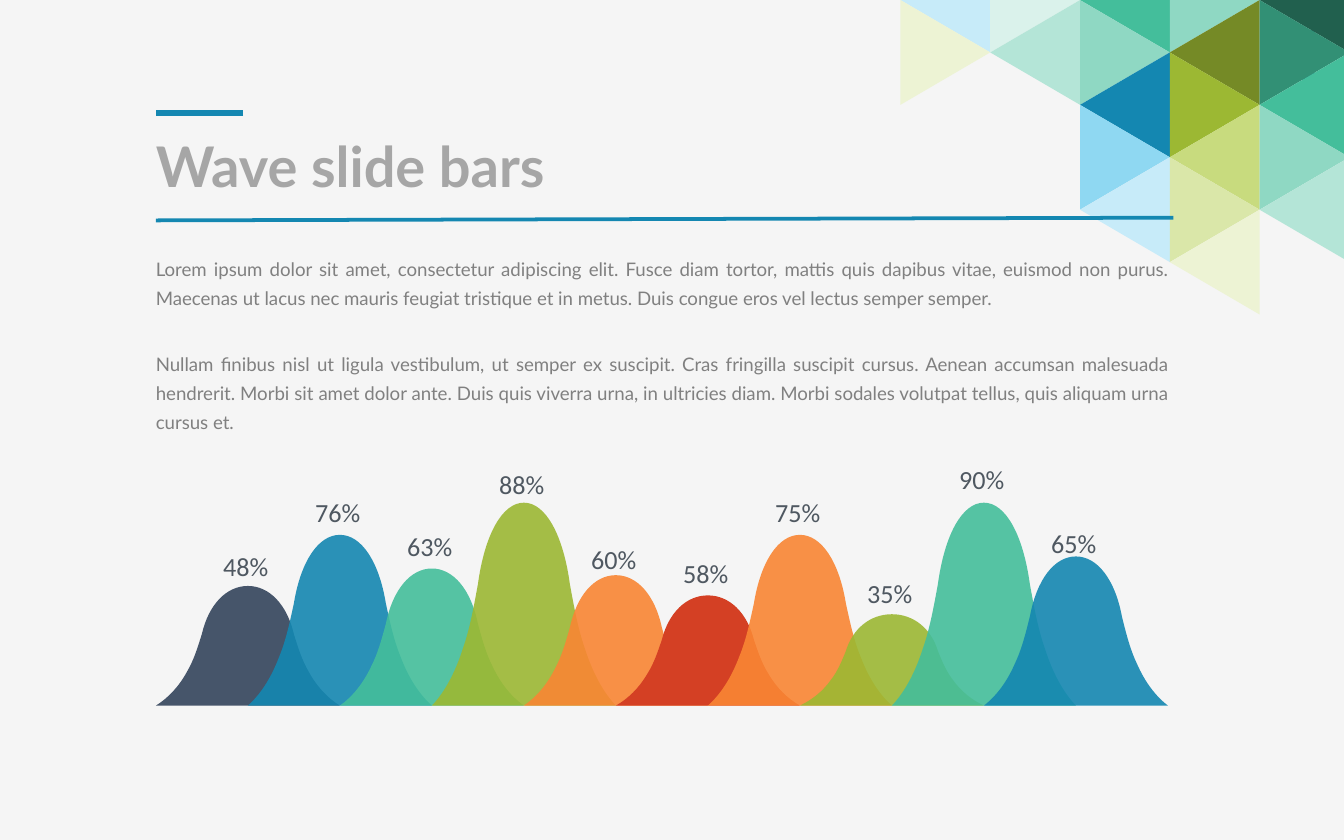
from dataclasses import dataclass

from lxml.etree import SubElement
from pptx import Presentation
from pptx.dml.color import RGBColor
from pptx.enum.shapes import MSO_CONNECTOR, MSO_SHAPE
from pptx.enum.text import MSO_ANCHOR, PP_ALIGN
from pptx.oxml.ns import qn
from pptx.util import Inches, Pt


@dataclass(frozen=True)
class Theme:
    background: str = "F5F5F5"
    blue: str = "1487B1"
    teal: str = "44BE9B"
    olive: str = "9CB833"
    orange: str = "F98634"
    red: str = "D44024"
    slate: str = "46556A"
    title: str = "A6A6A6"
    body: str = "808080"
    label: str = "4F5861"
    text_font: str = "Lato"
    label_font: str = "Calibri"
    title_size: int = 30
    body_size: int = 10
    label_size: int = 14


@dataclass(frozen=True)
class Box:
    left: float
    top: float
    width: float
    height: float

    def lengths(self):
        return [Inches(v) for v in (self.left, self.top, self.width, self.height)]


THEME = Theme()

MOSAIC_COLUMNS = [
    ["C7EBF9", "EDF3D4"],
    ["DAF2EB", "B4E5D7"],
    [THEME.teal, "8FD8C3", THEME.blue, "8FD8F2", "C7EBF9"],
    ["8FD8C3", "758A26", THEME.olive, "C8DB7E", "DAE7A9", "EDF3D4"],
    ["21604E", "329075", THEME.teal, "8FD8C3", "B4E5D7"],
]

PARAGRAPHS = [
    "Lorem ipsum dolor sit amet, consectetur adipiscing elit. Fusce diam tortor, "
    "mattis quis dapibus vitae, euismod non purus. Maecenas ut lacus nec mauris "
    "feugiat tristique et in metus. Duis congue eros vel lectus semper semper.",
    "Nullam finibus nisl ut ligula vestibulum, ut semper ex suscipit. Cras fringilla "
    "suscipit cursus. Aenean accumsan malesuada hendrerit. Morbi sit amet dolor ante. "
    "Duis quis viverra urna, in ultricies diam. Morbi sodales volutpat tellus, quis "
    "aliquam urna cursus et.",
]

WAVES = [
    ("48%", 0.89, 0.28, THEME.slate, 100),
    ("76%", 1.27, 0.30, THEME.blue, 90),
    ("63%", 1.02, 0.30, THEME.teal, 90),
    ("88%", 1.51, 0.27, THEME.olive, 90),
    ("60%", 0.97, 0.25, THEME.orange, 90),
    ("58%", 0.82, 0.30, THEME.red, 100),
    ("75%", 1.27, 0.30, THEME.orange, 90),
    ("35%", 0.68, 0.29, THEME.olive, 90),
    ("90%", 1.51, 0.31, THEME.teal, 90),
    ("65%", 1.11, 0.23, THEME.blue, 90),
]

PROFILE_WIDTH, PROFILE_HEIGHT = 1.36, 1.27
RISING_PROFILE = [
    (0, 0), (0.09, 0.08), (0.17, 0.2), (0.23, 0.36), (0.28, 0.48),
    (0.31, 0.62), (0.34, 0.76), (0.39, 1.07), (0.52, 1.27), (0.68, 1.27),
]


def color(code):
    return RGBColor.from_string(code)


def paint(shape, code, opacity=100):
    shape.shadow.inherit = False
    shape.fill.solid()
    shape.fill.fore_color.rgb = color(code)
    shape.line.fill.background()
    if opacity < 100:
        tint = shape.fill._xPr.find(qn("a:solidFill"))[0]
        SubElement(tint, qn("a:alpha"), val=str(opacity * 1000))


def style(paragraph, font, size, code, bold=False):
    for run in paragraph.runs:
        run.font.name = font
        run.font.size = Pt(size)
        run.font.bold = bold
        run.font.color.rgb = color(code)


def fill_text(shape, paragraphs, inset=(0, 0), anchor=MSO_ANCHOR.TOP):
    frame = shape.text_frame
    frame.word_wrap = True
    frame.vertical_anchor = anchor
    frame.margin_left = frame.margin_right = Inches(inset[0])
    frame.margin_top = frame.margin_bottom = Inches(inset[1])
    frame.text = "\n".join(paragraphs)
    return frame.paragraphs


def add_outline(slide, points):
    start, *rest = [(Inches(x), Inches(y)) for x, y in points]
    builder = slide.shapes.build_freeform(*start, scale=1.0)
    builder.add_line_segments(rest, close=True)
    return builder.convert_to_shape()


def round_outline(shape):
    outline = shape._element.spPr.find(".//" + qn("a:path"))
    lines = outline.findall(qn("a:lnTo"))
    for first in range(0, len(lines), 3):
        curve = SubElement(outline, qn("a:cubicBezTo"))
        for line in lines[first:first + 3]:
            curve.append(line[0])
            outline.remove(line)
    outline.append(outline.find(qn("a:close")))


def add_rule(slide, start, end, weight):
    rule = slide.shapes.add_connector(
        MSO_CONNECTOR.STRAIGHT, *[Inches(v) for v in (*start, *end)])
    rule.line.color.rgb = color(THEME.blue)
    rule.line.width = Pt(weight)
    SubElement(rule._element.spPr, qn("a:effectLst"))


def add_triangle(slide, box, rotation, code):
    triangle = slide.shapes.add_shape(MSO_SHAPE.ISOSCELES_TRIANGLE, *box.lengths())
    triangle.rotation = rotation
    paint(triangle, code)


def add_mosaic(slide, box):
    pitch = box.width / len(MOSAIC_COLUMNS)
    side = box.height / 3.5
    add_triangle(slide, Box(box.left + 2.67, box.top + 0.63, 0.44, 0.38), 270, "0F6585")
    for column, codes in enumerate(MOSAIC_COLUMNS):
        for row, code in enumerate(codes):
            cell = Box(box.left + column * pitch - (side - pitch) / 2,
                       box.top + row * side / 2 + (side - pitch) / 2, side, pitch)
            add_triangle(slide, cell, 90 if (column + row) % 2 else 270, code)


def add_header(slide, box):
    bottom = box.top + box.height
    add_rule(slide, (box.left, bottom), (box.left + box.width, bottom - 0.02), 2)
    add_rule(slide, (box.left + 0.65, box.top), (box.left, box.top), 3)
    title_box = Box(box.left, box.top + 0.19, box.width, 0.39)
    heading = slide.shapes.add_textbox(*title_box.lengths())
    title, = fill_text(heading, ["Wave slide bars"], (0, 0.04), MSO_ANCHOR.MIDDLE)
    style(title, THEME.text_font, THEME.title_size, THEME.title, True)


def add_body(slide, box):
    body = slide.shapes.add_textbox(*box.lengths())
    for index, paragraph in enumerate(fill_text(body, PARAGRAPHS)):
        paragraph.alignment = PP_ALIGN.JUSTIFY
        paragraph.line_spacing = 1.3
        paragraph.space_before = Pt(19.5 * index)
        style(paragraph, THEME.text_font, THEME.body_size, THEME.body)


def add_wave(slide, box, code, opacity):
    falling = [(PROFILE_WIDTH - x, y) for x, y in reversed(RISING_PROFILE[:-1])]
    wave = add_outline(slide, [
        (box.left + x / PROFILE_WIDTH * box.width,
         box.top + (1 - y / PROFILE_HEIGHT) * box.height)
        for x, y in RISING_PROFILE + falling])
    round_outline(wave)
    paint(wave, code, opacity)


def add_percent(slide, box, percent):
    right, bottom = box.left + box.width, box.top + box.height
    plate = add_outline(slide, [(box.left, box.top), (right, box.top),
                                (right, bottom), (box.left, bottom)])
    plate.shadow.inherit = False
    plate.fill.background()
    plate.line.fill.background()
    label, = fill_text(plate, [percent], (0.06, 0.06), MSO_ANCHOR.MIDDLE)
    label.alignment = PP_ALIGN.LEFT
    label.line_spacing = 1.2
    style(label, THEME.label_font, THEME.label_size, THEME.label)


def add_wave_bars(slide, box):
    pitch = box.width / (len(WAVES) + 1)
    base = box.top + box.height
    for index, (percent, height, rise, code, opacity) in enumerate(WAVES):
        wave_box = Box(box.left + index * pitch, base - height, 2 * pitch, height)
        add_wave(slide, wave_box, code, opacity)
    for index, (percent, height, rise, code, opacity) in enumerate(WAVES):
        label_box = Box(box.left + index * pitch + 0.44, base - height - rise, 0.49, 0.22)
        add_percent(slide, label_box, percent)


def main():
    presentation = Presentation()
    presentation.slide_width = Inches(10)
    presentation.slide_height = Inches(6.25)
    slide = presentation.slides.add_slide(presentation.slide_layouts[6])
    slide.background.fill.solid()
    slide.background.fill.fore_color.rgb = color(THEME.background)
    add_mosaic(slide, Box(6.7, -0.39, 3.34, 2.73))
    add_header(slide, Box(1.16, 0.84, 7.57, 0.8))
    add_body(slide, Box(1.16, 1.87, 7.53, 1.05))
    add_wave_bars(slide, Box(1.16, 3.43, 7.53, 1.82))
    presentation.save("out.pptx")


if __name__ == "__main__":
    main()
